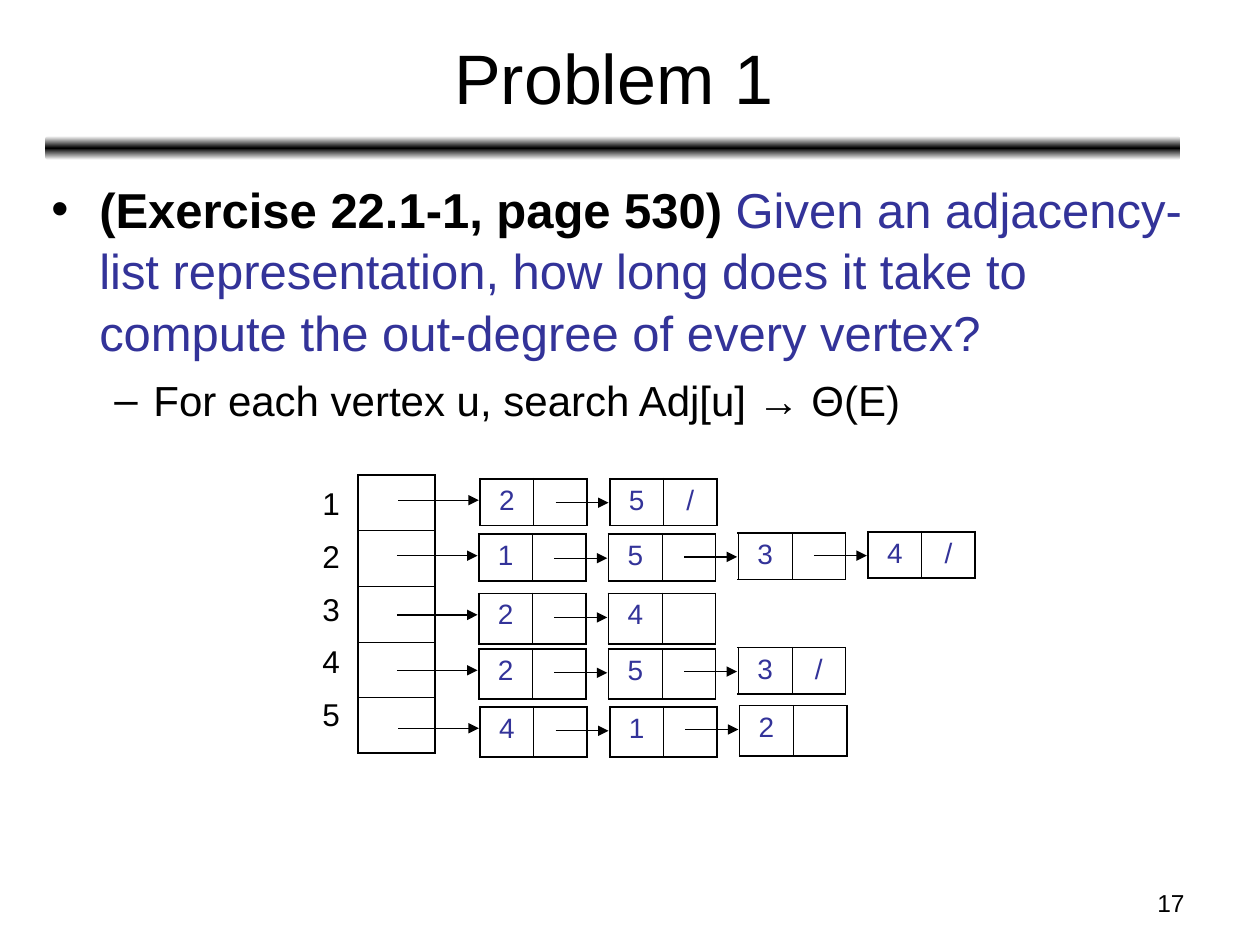
from copy import deepcopy

from lxml import etree
from pptx import Presentation
from pptx.dml.color import RGBColor
from pptx.enum.shapes import MSO_CONNECTOR, MSO_SHAPE
from pptx.enum.text import MSO_ANCHOR, PP_ALIGN
from pptx.oxml.ns import qn
from pptx.util import Inches, Pt

CENTER, RIGHT, LEFT = PP_ALIGN.CENTER, PP_ALIGN.RIGHT, PP_ALIGN.LEFT
MIDDLE = MSO_ANCHOR.MIDDLE
STRAIGHT = MSO_CONNECTOR.STRAIGHT
ROUNDED = MSO_SHAPE.ROUNDED_RECTANGLE

COLORS = {"black": "000000", "white": "FFFFFF", "blue": "333399"}
FONT = "Arial"
THICK, THIN = 1.08, 0.45
NODE_W, NODE_STEP = 0.85, 1.03

ADJACENCY = [
    (3.81, 3.80, 0.37, [("2", ""), ("5", "/")]),
    (3.80, 4.24, 0.37, [("1", ""), ("5", ""), ("3", ""), ("4", "/")]),
    (3.80, 4.71, 0.40, [("2", ""), ("4", "")]),
    (3.80, 5.15, 0.40, [("2", ""), ("5", ""), ("3", "/")]),
    (3.81, 5.61, 0.40, [("4", ""), ("1", ""), ("2", "")]),
]


def rgb(name):
    return RGBColor.from_string(COLORS[name])


def box(x, y, w, h):
    return Inches(x), Inches(y), Inches(w), Inches(h)


def add_text(p, text, size=18, color="black", bold=False, align=None):
    if align is not None:
        p.alignment = align
    r = p.add_run()
    r.text = text
    r.font.name = FONT
    r.font.size = Pt(size)
    r.font.bold = bold
    r.font.color.rgb = rgb(color)


def add_box(s, x, y, w, h, wrap=True):
    tf = s.shapes.add_textbox(*box(x, y, w, h)).text_frame
    tf.word_wrap = wrap
    return tf


def set_bullet(p, char, left, hanging):
    pPr = p._p.get_or_add_pPr()
    pPr.set("marL", str(Inches(left)))
    pPr.set("indent", str(-Inches(hanging)))
    clr = etree.SubElement(pPr, qn("a:buClr"))
    etree.SubElement(clr, qn("a:srgbClr"), val=COLORS["black"])
    etree.SubElement(pPr, qn("a:buFont"), typeface=FONT)
    etree.SubElement(pPr, qn("a:buChar"), char=char)


def set_borders(cell, left, right, top, bottom):
    tcPr = cell._tc.get_or_add_tcPr()
    for side, width in zip("LRTB", (left, right, top, bottom)):
        ln = etree.SubElement(tcPr, qn("a:ln" + side), w=str(Pt(width)))
        fill = etree.SubElement(ln, qn("a:solidFill"))
        etree.SubElement(fill, qn("a:srgbClr"), val=COLORS["black"])


def add_grid(s, x, y, w, h, rows):
    n_rows, n_cols = len(rows), len(rows[0])
    table = s.shapes.add_table(n_rows, n_cols, *box(x, y, w, h)).table
    table.first_row = table.horz_banding = False
    for i, row in enumerate(rows):
        for j, text in enumerate(row):
            cell = table.cell(i, j)
            set_borders(
                cell,
                THIN if j else THICK,
                THIN if j < n_cols - 1 else THICK,
                THIN if i else THICK,
                THIN if i < n_rows - 1 else THICK,
            )
            cell.fill.background()
            if text:
                add_text(cell.text_frame.paragraphs[0], text, size=16, color="blue", align=CENTER)
            else:
                cell.margin_top = cell.margin_bottom = 0


def add_arrow(s, x1, x2, y):
    c = s.shapes.add_connector(STRAIGHT, Inches(x1), Inches(y), Inches(x2), Inches(y))
    c.line.color.rgb = rgb("black")
    c.line.width = Pt(0.75)
    etree.SubElement(c.line._get_or_add_ln(), qn("a:tailEnd"), type="triangle")
    etree.SubElement(c._element.spPr, qn("a:effectLst"))


def add_title(s, x, y, w, h):
    sp = s.shapes.title
    sp.left, sp.top, sp.width, sp.height = box(x, y, w, h)
    sp.text_frame.vertical_anchor = MIDDLE
    add_text(sp.text_frame.paragraphs[0], "Problem 1", size=40, align=CENTER)


def add_rule(s, x, y, w, h):
    sp = s.shapes.add_shape(ROUNDED, *box(x, y, w, h))
    sp.shadow.inherit = False
    sp.line.fill.background()
    sp.fill.gradient()
    sp.fill.gradient_angle = 90
    edge, middle = sp.fill.gradient_stops
    edge.color.rgb, edge.position = rgb("white"), 0
    middle.color.rgb, middle.position = rgb("black"), 0.5
    stops = sp._element.spPr.find(qn("a:gradFill")).find(qn("a:gsLst"))
    last = deepcopy(stops[0])
    last.set("pos", "100000")
    stops.append(last)


def add_question(s, x, y, w, h):
    tf = add_box(s, x, y, w, h)
    p = tf.paragraphs[0]
    set_bullet(p, "•", 0.38, 0.38)
    p.line_spacing = 1.05
    add_text(p, "(Exercise 22.1-1, page 530)", size=28, bold=True)
    add_text(
        p,
        " Given an adjacency-list representation, how long does it take to "
        "compute the out-degree of every vertex?",
        size=28,
        color="blue",
    )
    p = tf.add_paragraph()
    p.level = 1
    set_bullet(p, "–", 0.81, 0.31)
    p.line_spacing = 1.05
    p.space_before = Pt(6)
    add_text(p, "For each vertex u, search Adj[u] → Θ(E)", size=24)


def add_vertices(s, x, y, w, h):
    add_grid(s, x, y, w, h, [[""]] * len(ADJACENCY))
    for i in range(len(ADJACENCY)):
        tf = add_box(s, x - 0.38, y + 0.02 + 0.42 * i, 0.34, 0.4, wrap=False)
        add_text(tf.paragraphs[0], str(i + 1), align=LEFT)


def add_list(s, x, y, h, nodes):
    for i, node in enumerate(nodes):
        left = x + NODE_STEP * i
        top = y - 0.01 * max(i - 1, 0)
        height = 0.37 if node[1] else h
        add_grid(s, left, top, NODE_W, height, [node])
        tail, drop = (0.43, 0.19) if i else (0.65, 0.17)
        add_arrow(s, left - tail, left - 0.01, top + drop)


def add_number(s, x, y, w, h):
    tf = add_box(s, x, y, w, h)
    add_text(tf.paragraphs[0], "17", size=14, align=RIGHT)


def main():
    prs = Presentation()
    prs.slide_width, prs.slide_height = Inches(10), Inches(7.5)
    s = prs.slides.add_slide(prs.slide_layouts[5])
    add_rule(s, 0.36, 1.08, 9.01, 0.19)
    add_number(s, 7.17, 7, 2.33, 0.35)
    add_title(s, 0.37, 0.11, 9, 0.99)
    add_question(s, 0.31, 1.35, 9.27, 5.55)
    add_vertices(s, 2.84, 3.77, 0.61, 2.21)
    for x, y, h, nodes in ADJACENCY:
        add_list(s, x, y, h, nodes)
    prs.save("out.pptx")


if __name__ == "__main__":
    main()
